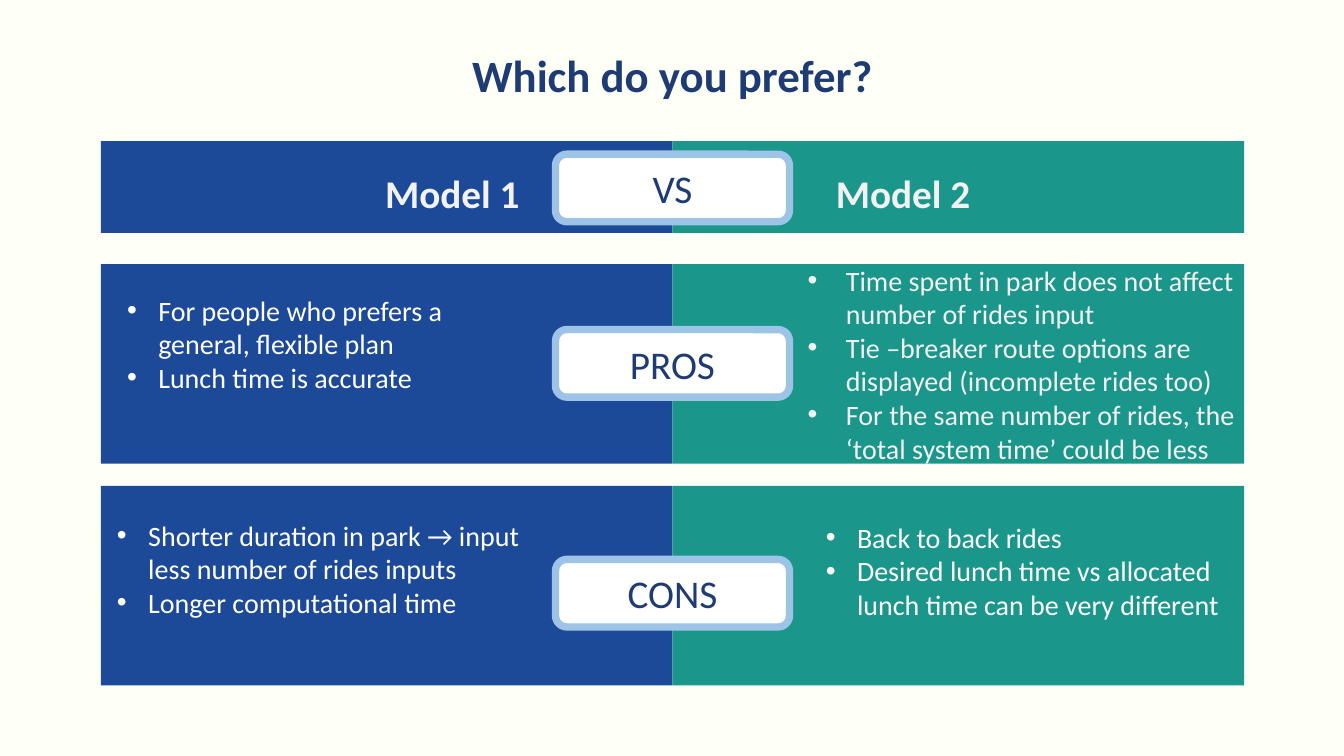
from lxml import etree
from pptx import Presentation
from pptx import util as u
from pptx.dml.color import RGBColor
from pptx.enum import shapes, text
from pptx.oxml.ns import qn

COLOURS = {
    "background": "FEFFF7",
    "navy": "1E3C73",
    "blue": "1D4999",
    "teal": "1B968B",
    "badge_line": "9DC3E6",
    "white": "FFFFFF",
    "off_white": "F2F2F2",
}
FONT = "Calibri"
COMPARISON_LAYOUT = 4
BAND_LEFT, HALF_WIDTH = 1, 5.67
BADGE_WIDTH, BADGE_HEIGHT = 2.32, 0.67


def colour(name):
    return RGBColor.from_string(COLOURS[name])


def place(shape, box):
    shape.left, shape.top, shape.width, shape.height = map(u.Inches, box)


def add_run(paragraph, words, size, colour_name, bold=False):
    run = paragraph.add_run()
    run.text = words
    run.font.name = FONT
    run.font.size = u.Pt(size)
    run.font.bold = bold
    run.font.color.rgb = colour(colour_name)


def add_block(slide, kind, box, fill):
    block = slide.shapes.add_shape(kind, *map(u.Inches, box))
    block.shadow.inherit = False
    block.fill.solid()
    block.fill.fore_color.rgb = colour(fill)
    block.line.fill.background()
    return block


def add_title(slide, box, words):
    title = slide.shapes.title
    place(title, box)
    frame = title.text_frame
    frame.auto_size = text.MSO_AUTO_SIZE.NONE
    frame.vertical_anchor = text.MSO_ANCHOR.MIDDLE
    paragraph = frame.paragraphs[0]
    paragraph.alignment = text.PP_ALIGN.CENTER
    paragraph.line_spacing = 0.9
    add_run(paragraph, words, 32, "navy", bold=True)


def add_band(slide, top, height, label, badge_offset):
    """Draw a two-colour band with a label badge over its centre."""
    centre = BAND_LEFT + HALF_WIDTH
    for left, fill in ((BAND_LEFT, "blue"), (centre, "teal")):
        add_block(slide, shapes.MSO_SHAPE.RECTANGLE, (left, top, HALF_WIDTH, height), fill)
    badge_box = (centre - BADGE_WIDTH / 2, top + badge_offset, BADGE_WIDTH, BADGE_HEIGHT)
    badge = add_block(slide, shapes.MSO_SHAPE.ROUNDED_RECTANGLE, badge_box, "white")
    badge.line.color.rgb = colour("badge_line")
    badge.line.width = u.Pt(5.25)
    badge.text_frame.vertical_anchor = text.MSO_ANCHOR.MIDDLE
    paragraph = badge.text_frame.paragraphs[0]
    paragraph.alignment = text.PP_ALIGN.CENTER
    add_run(paragraph, label, 28, "navy")


def add_model_name(slide, box, words):
    name_box = slide.shapes.add_textbox(*map(u.Inches, box))
    name_box.text_frame.word_wrap = True
    paragraph = name_box.text_frame.paragraphs[0]
    paragraph.alignment = text.PP_ALIGN.RIGHT
    add_run(paragraph, words, 28, "off_white", bold=True)


def add_bullet(paragraph, indent):
    properties = paragraph._p.get_or_add_pPr()
    properties.set("marL", str(u.Inches(indent)))
    properties.set("indent", str(-u.Inches(indent)))
    etree.SubElement(properties, qn("a:buFont")).set("typeface", "Arial")
    etree.SubElement(properties, qn("a:buChar")).set("char", "•")


def fill_list(placeholder, box, items, indent=0.31, colour_name="white"):
    """Fill a body placeholder with bullets and bring it in front of the bands."""
    place(placeholder, box)
    frame = placeholder.text_frame
    frame.auto_size = text.MSO_AUTO_SIZE.NONE
    frame.vertical_anchor = text.MSO_ANCHOR.TOP
    for number, item in enumerate(items):
        paragraph = frame.add_paragraph() if number else frame.paragraphs[0]
        add_bullet(paragraph, indent)
        paragraph.alignment = text.PP_ALIGN.LEFT
        paragraph.line_spacing = 1.0
        paragraph.space_before = u.Pt(0)
        add_run(paragraph, item, 20, colour_name)
    element = placeholder.element
    element.getparent().append(element)


def add_comparison_slide(presentation):
    slide = presentation.slides.add_slide(presentation.slide_layouts[COMPARISON_LAYOUT])
    slide.background.fill.solid()
    slide.background.fill.fore_color.rgb = colour("background")
    add_title(slide, (1.58, 0.18, 10.18, 1.19), "Which do you prefer?")

    add_band(slide, 1.4, 0.91, "VS", 0.13)
    add_band(slide, 2.62, 1.98, "PROS", 0.65)
    add_band(slide, 4.82, 1.98, "CONS", 0.73)
    for left, name in ((3.44, "Model 1"), (7.91, "Model 2")):
        add_model_name(slide, (left, 1.63, 1.81, 0.57), name)

    pros_1, cons_1, pros_2, cons_2 = (slide.placeholders[index] for index in range(1, 5))
    fill_list(pros_1, (1.16, 2.86, 4.11, 1.11), [
        "For people who prefers a general, flexible plan",
        "Lunch time is accurate",
    ])
    fill_list(pros_2, (7.91, 2.56, 4.49, 2.12), [
        "Time spent in park does not affect number of rides input",
        "Tie –breaker route options are displayed (incomplete rides too)",
        "For the same number of rides, the ‘total system time’ could be less",
    ], indent=0.38, colour_name="off_white")
    fill_list(cons_1, (1.06, 5.09, 4.59, 1.45), [
        "Shorter duration in park → input less number of rides inputs",
        "Longer computational time",
    ])
    fill_list(cons_2, (8.09, 5.11, 4.11, 1.11), [
        "Back to back rides",
        "Desired lunch time vs allocated lunch time can be very different",
    ])


def main():
    presentation = Presentation()
    presentation.slide_width = u.Inches(13.33)
    presentation.slide_height = u.Inches(7.5)
    add_comparison_slide(presentation)
    presentation.save("out.pptx")


if __name__ == "__main__":
    main()
